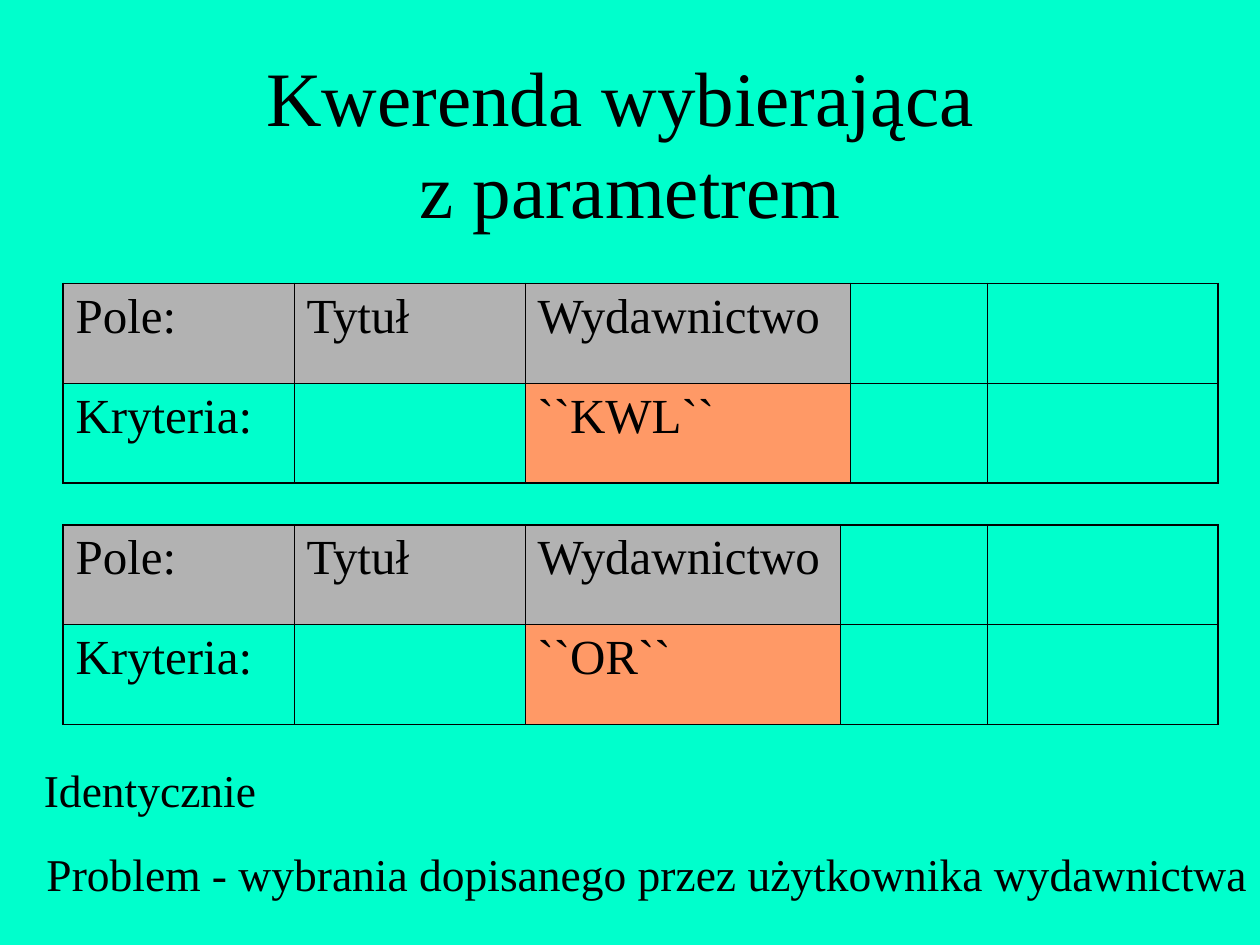
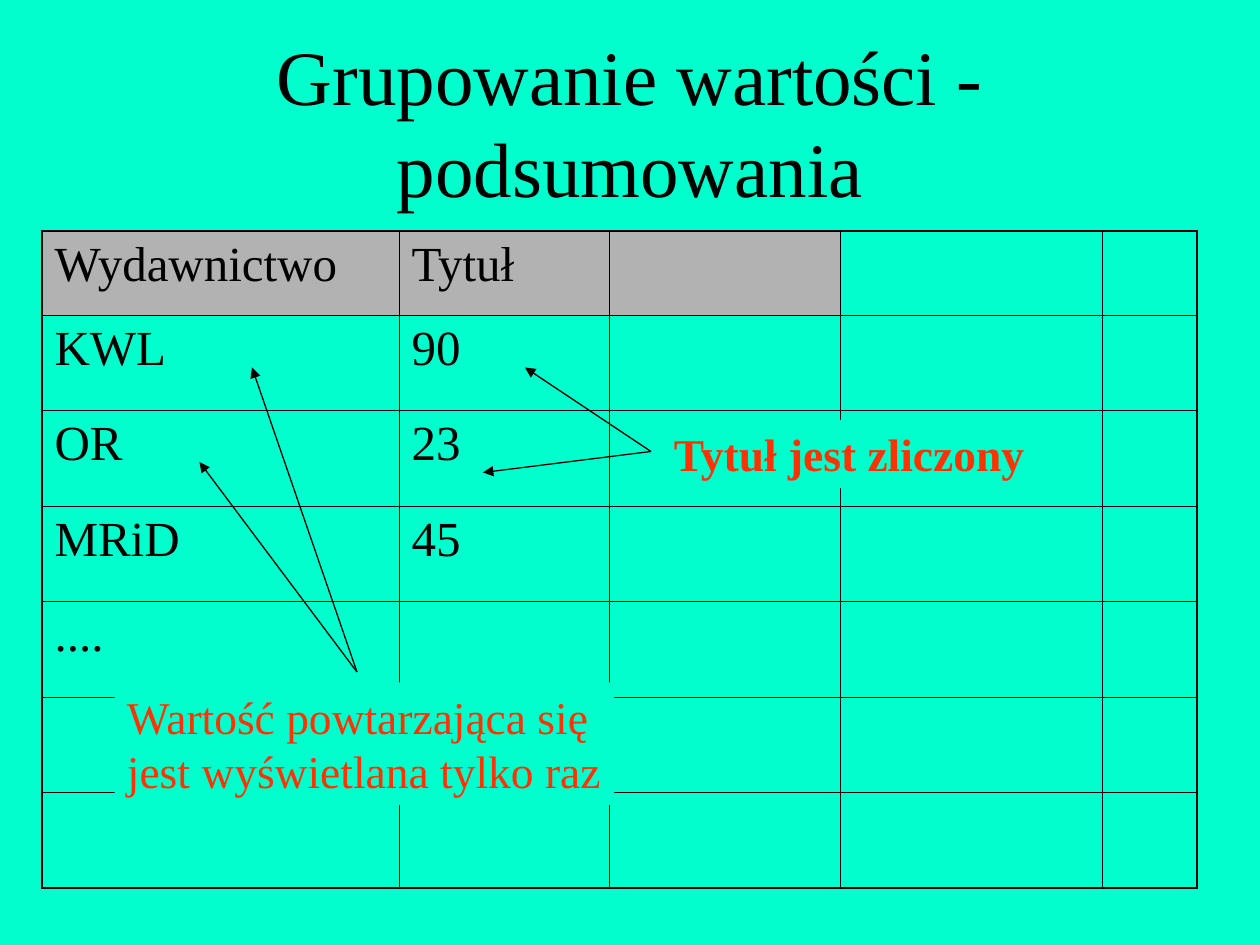
from lxml import etree
from pptx import Presentation
from pptx import util as u
from pptx.dml import color
from pptx.enum import shapes, text
from pptx.oxml import ns

Pt = u.Pt
FONT = "Times New Roman"
MINT, BLACK, GREY, ORANGE, RED = "00FFCC", "000000", "B2B2B2", "FF9966", "FF3300"
THIN, THICK = 0.45, 1.08
TABLE_W = 660


def rgb(value):
    return color.RGBColor.from_string(value)


def sub(parent, tag, **attrs):
    return etree.SubElement(parent, ns.qn(tag), attrs)


def write(tf, content, align=text.PP_ALIGN.LEFT, ink=BLACK, **fmt):
    """Fill a text frame with one paragraph; a newline becomes a line break."""
    p = tf.paragraphs[0]
    p.text = content.replace("\n", "\v")
    p.alignment = align
    for item in [p, *p.runs]:
        item.font.color.rgb = rgb(ink)
        for name, value in {"name": FONT, **fmt}.items():
            setattr(item.font, name, value)


def set_frame(tf, **settings):
    defaults = {"margin_left": Pt(7.2), "margin_right": Pt(7.2),
                "margin_top": Pt(3.6), "margin_bottom": Pt(3.6),
                "word_wrap": True, "auto_size": text.MSO_AUTO_SIZE.NONE}
    for name, value in {**defaults, **settings}.items():
        setattr(tf, name, value)


def add_titled_slide(prs, title, top):
    s = prs.slides.add_slide(prs.slide_layouts.get_by_name("Title Only"))
    sp = s.shapes.title
    sp.left, sp.top, sp.width, sp.height = Pt(54), Pt(top), Pt(612), Pt(90)
    set_frame(sp.text_frame, vertical_anchor=text.MSO_ANCHOR.MIDDLE)
    write(sp.text_frame, title, text.PP_ALIGN.CENTER, size=Pt(44))
    return s


def add_borders(cell, outer_sides):
    tc_pr = cell._tc.get_or_add_tcPr()
    for side in "LRTB":
        width = THICK if side in outer_sides else THIN
        ln = sub(tc_pr, f"a:ln{side}", w=str(int(Pt(width))))
        sub(sub(ln, "a:solidFill"), "a:srgbClr", val=BLACK)


def add_grid(s, left, top, widths, heights, rows, fills):
    """Add a table; fills maps (row, column) to a colour, other cells stay clear."""
    frame = s.shapes.add_table(len(heights), len(widths), Pt(left), Pt(top),
                               Pt(TABLE_W), Pt(sum(heights)))
    table = frame.table
    table.first_row = table.horz_banding = False
    for column, width in zip(table.columns, widths):
        column.width = Pt(width)
    for row, height in zip(table.rows, heights):
        row.height = Pt(height)
    last_row, last_col = len(heights) - 1, len(widths) - 1
    for i in range(last_row + 1):
        for j in range(last_col + 1):
            cell = table.cell(i, j)
            edges = {"T": i == 0, "B": i == last_row, "L": j == 0, "R": j == last_col}
            add_borders(cell, [side for side, outer in edges.items() if outer])
            if (i, j) in fills:
                cell.fill.solid()
                cell.fill.fore_color.rgb = rgb(fills[i, j])
            else:
                cell.fill.background()
            filled = i < len(rows) and j < len(rows[i])
            write(cell.text_frame, rows[i][j] if filled else "", size=Pt(28))


def add_criteria_table(s, top, field_widths, publisher):
    rows = [["Pole:", "Tytuł", "Wydawnictwo"], ["Kryteria:", "", publisher]]
    fills = {(0, 0): GREY, (0, 1): GREY, (0, 2): GREY, (1, 2): ORANGE}
    add_grid(s, 36, top, [132, 132, *field_widths, 132], [57, 57], rows, fills)


def add_label(parent, content, left, top, width, height, ink=BLACK, fill=None, **fmt):
    """Add a tight label; it has no right margin, so its lines never wrap early."""
    box = [Pt(v) for v in (left, top, width, height)]
    if fill:
        sp = parent.shapes.add_shape(shapes.MSO_SHAPE.RECTANGLE, *box)
        sp.shadow.inherit = False
        sp.fill.solid()
        sp.fill.fore_color.rgb = rgb(fill)
        sp.line.fill.background()
    else:
        sp = parent.shapes.add_textbox(*box)
    set_frame(sp.text_frame, margin_right=0, vertical_anchor=text.MSO_ANCHOR.TOP)
    write(sp.text_frame, content, ink=ink, size=Pt(26), **fmt)


def add_arrow(parent, start, end):
    line = parent.shapes.add_connector(shapes.MSO_CONNECTOR.STRAIGHT,
                                       *[Pt(v) for v in (*start, *end)])
    line.line.color.rgb = rgb(BLACK)
    line.line.width = Pt(0.75)
    sub(line.line._get_or_add_ln(), "a:tailEnd", type="triangle")
    sub(line._element.spPr, "a:effectLst")


def add_callout(s, content, box, start, targets, **fmt):
    """Group a red note with the arrows that run from start to each target."""
    group = s.shapes.add_group_shape()
    add_label(group, content, *box, ink=RED, fill=MINT, **fmt)
    for target in targets:
        add_arrow(group, start, target)


def build_parameter_query(prs):
    s = add_titled_slide(prs, "Kwerenda wybierająca \nz parametrem", 36)
    add_criteria_table(s, 162, [186, 78], "``KWL``")
    add_criteria_table(s, 300, [180, 84], "``OR``")
    add_label(s, "Problem - wybrania dopisanego przez użytkownika wydawnictwa",
              19.5, 480, 700.5, 39)
    add_label(s, "Identycznie", 18, 432, 135.5, 39)


def build_grouping(prs):
    s = add_titled_slide(prs, "Grupowanie wartości - podsumowania", 24)
    rows = [["Wydawnictwo", "Tytuł"], ["KWL", "90"], ["OR", "23"],
            ["MRiD", "45"], ["...."]]
    add_grid(s, 24, 132, [204, 120, 132, 150, 54], [48] + [54.6] * 6, rows,
             {(0, j): GREY for j in range(3)})
    add_callout(s, "Tytuł jest zliczony", (378, 240, 217, 39),
                (372, 258), [(300, 210), (276, 270)], bold=True)
    add_callout(s, "Wartość powtarzająca się\njest wyświetlana tylko raz",
                (65.5, 390, 285.5, 70), (204, 384), [(144, 210), (114, 264)])


def main():
    prs = Presentation()
    prs.slide_width, prs.slide_height = Pt(720), Pt(540)
    background = prs.slide_master.background.fill
    background.solid()
    background.fore_color.rgb = rgb(MINT)
    build_parameter_query(prs)
    build_grouping(prs)
    prs.save("out.pptx")


if __name__ == "__main__":
    main()
